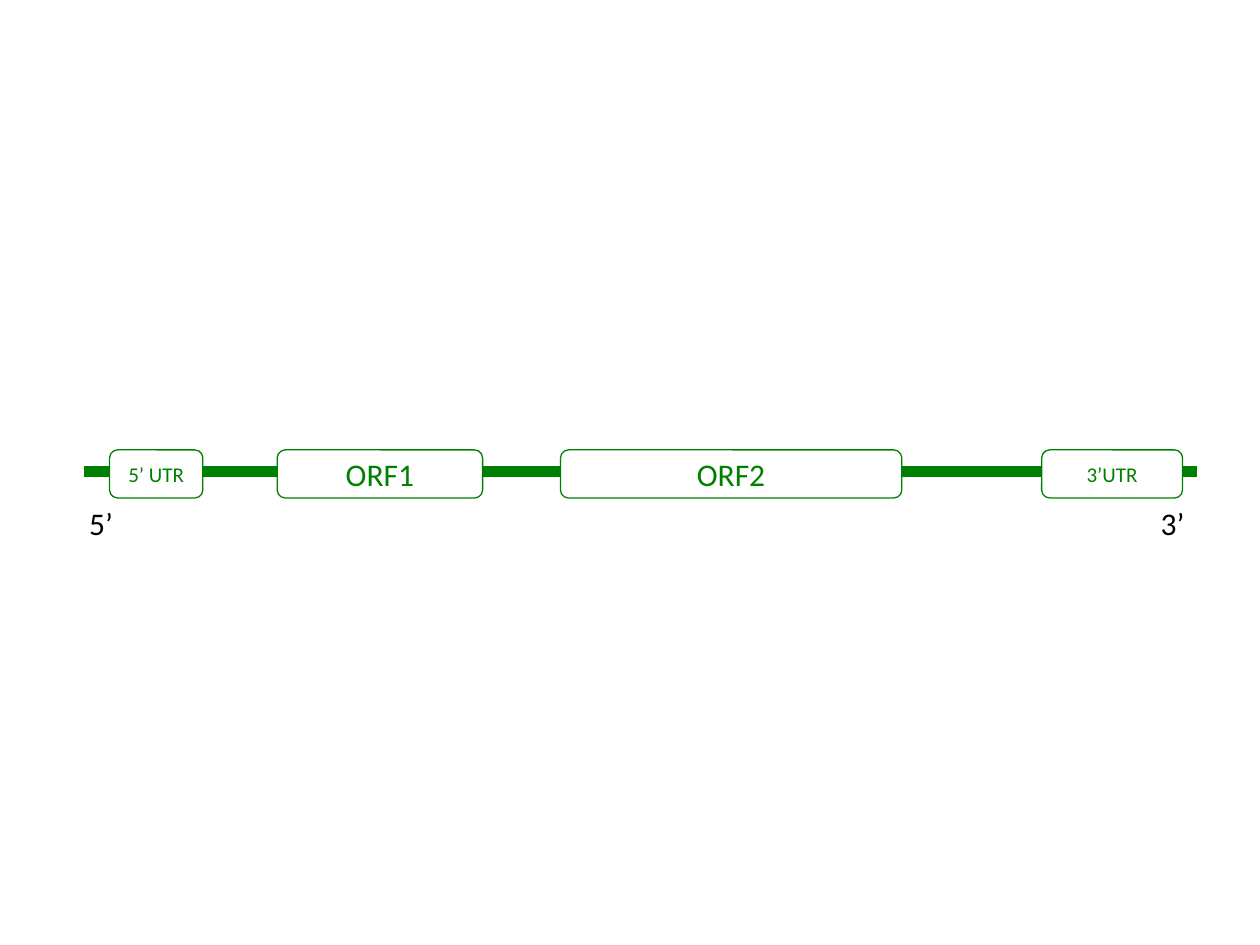
from lxml.etree import SubElement
from pptx import Presentation
from pptx.dml.color import RGBColor
from pptx.enum.shapes import MSO_CONNECTOR as Connector, MSO_SHAPE as Shape
from pptx.enum.text import MSO_ANCHOR as Anchor, PP_ALIGN as Align
from pptx.oxml.ns import qn
from pptx.util import Cm, Pt

GREEN, WHITE, BLACK = "008000", "FFFFFF", "000000"
BOX_HEIGHT, LABEL_WIDTH, LABEL_HEIGHT = 0.97, 0.99, 1.02
REGIONS = [
    ("ORF1", 4.04, 4.14, 18),
    ("ORF2", 9.75, 6.88, 18),
    ("5’ UTR", 0.66, 1.88, 12),
    ("3’UTR", 19.45, 2.84, 12),
]


def color(hex_string):
    """Turn a hex string into a colour."""
    return RGBColor.from_string(hex_string)


def set_text(shape, text, size=18, ink=BLACK, align=Align.LEFT, anchor=Anchor.TOP, wrap=False):
    """Write one formatted paragraph into a shape."""
    frame = shape.text_frame
    frame.word_wrap = wrap
    frame.vertical_anchor = anchor
    paragraph = frame.paragraphs[0]
    paragraph.alignment = align
    run = paragraph.add_run()
    run.text = text
    run.font.name = "Calibri"
    run.font.size = Pt(size)
    run.font.color.rgb = color(ink)


def add_strand(shapes, left, right, y):
    """Draw the thick horizontal strand."""
    line = shapes.add_connector(Connector.STRAIGHT, Cm(left), Cm(y), Cm(right), Cm(y))
    line.line.color.rgb = color(GREEN)
    line.line.width = Pt(6)
    SubElement(line._element.spPr, qn("a:effectLst"))


def add_region(shapes, text, left, top, width, size):
    """Draw one labelled region of the genome."""
    shape = shapes.add_shape(Shape.ROUNDED_RECTANGLE, Cm(left), Cm(top), Cm(width), Cm(BOX_HEIGHT))
    shape.shadow.inherit = False
    shape.fill.solid()
    shape.fill.fore_color.rgb = color(WHITE)
    shape.line.color.rgb = color(GREEN)
    shape.line.width = Pt(0.75)
    set_text(shape, text, size=size, ink=GREEN, align=Align.CENTER, anchor=Anchor.MIDDLE, wrap=True)


def add_genome(slide, left, top, width):
    """Draw the strand, its end labels and its regions as one group."""
    shapes = slide.shapes.add_group_shape().shapes
    right = left + width
    add_strand(shapes, left + 0.15, right, top + 0.43)
    ends = [("5’", left, Align.LEFT), ("3’", right - LABEL_WIDTH, Align.RIGHT)]
    for text, label_left, align in ends:
        label = shapes.add_textbox(
            Cm(label_left), Cm(top + BOX_HEIGHT), Cm(LABEL_WIDTH), Cm(LABEL_HEIGHT))
        set_text(label, text, align=align)
    for text, offset, region_width, size in REGIONS:
        add_region(shapes, text, left + offset, top, region_width, size)


def main():
    """Build and save the presentation."""
    presentation = Presentation()
    presentation.slide_width, presentation.slide_height = Cm(25.4), Cm(19.05)
    slide = presentation.slides.add_slide(presentation.slide_layouts[6])
    add_genome(slide, left=1.55, top=9.07, width=22.58)
    presentation.save("out.pptx")


main()
